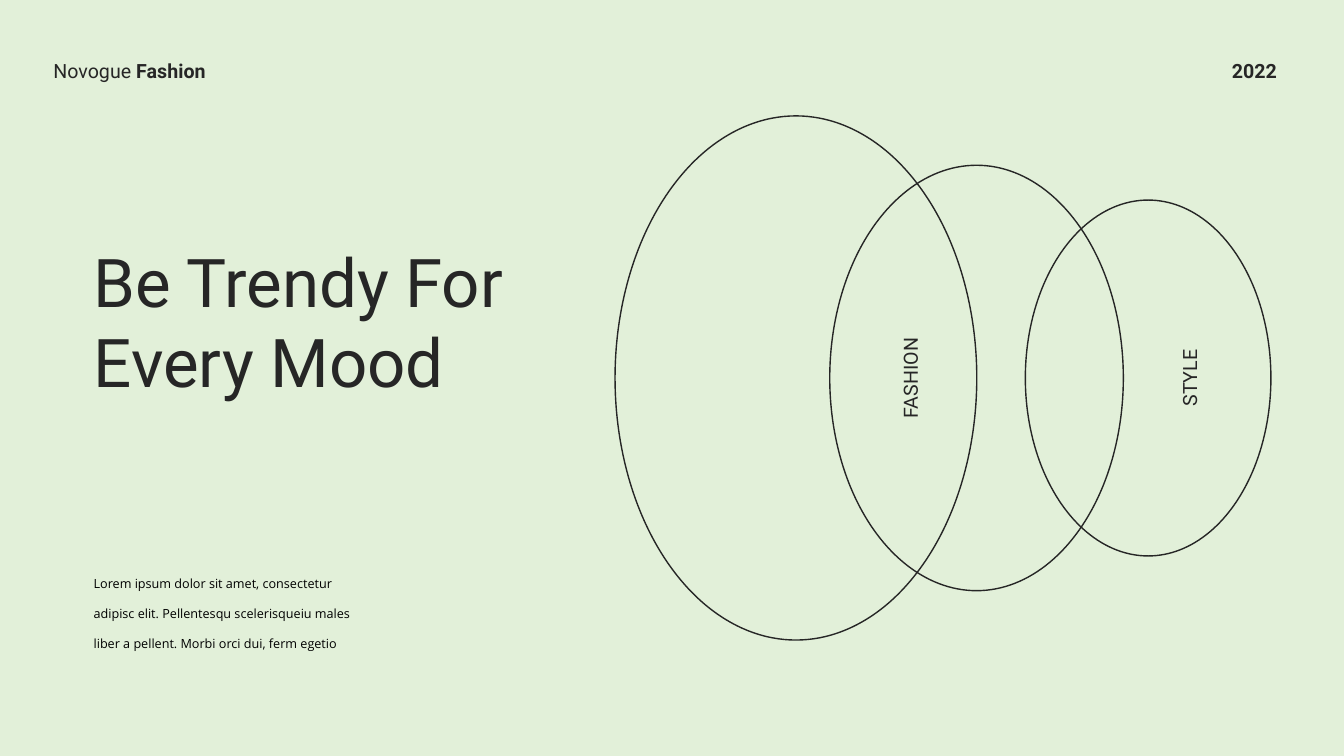
import pptx
import pptx.dml.color
import pptx.enum.shapes
import pptx.enum.text
import pptx.util

INK = pptx.dml.color.RGBColor(0x26, 0x26, 0x26)
BLACK = pptx.dml.color.RGBColor(0, 0, 0)
MINT = pptx.dml.color.RGBColor(0xE2, 0xF0, 0xD9)
WIDTH = pptx.util.Inches(13.33)
HEIGHT = pptx.util.Inches(7.5)
MIDDLE_ROW = 50
MARGIN_COLUMN = 6.23
HEADER_ROW = 7.07
HEADER_ROWS = 4.53
LABEL_COLUMNS = 3.3
ELLIPSE_RATIO = 0.69
ALIGN = pptx.enum.text.PP_ALIGN

HEADING = {"name": "Roboto", "size": pptx.util.Pt(48), "bold": False}
SMALL = {"name": "Roboto", "size": pptx.util.Pt(14), "bold": False}
STRONG = {**SMALL, "bold": True}
BODY = {"name": "Open Sans", "size": pptx.util.Pt(9), "bold": False}


def columns(count):
    return round(WIDTH * count / 100)


def rows(count):
    return round(HEIGHT * count / 100)


def place(shape, left, top, width, height):
    position = {"left": columns(left), "top": rows(top),
                "width": columns(width), "height": rows(height)}
    for name, value in position.items():
        setattr(shape, name, value)


def write(box, pieces, color=INK, align=ALIGN.LEFT, spacing=1.0, wrap=True):
    frame = box.text_frame
    settings = {"word_wrap": wrap,
                "auto_size": pptx.enum.text.MSO_AUTO_SIZE.SHAPE_TO_FIT_TEXT,
                "vertical_anchor": pptx.enum.text.MSO_ANCHOR.TOP}
    for name, value in settings.items():
        setattr(frame, name, value)
    para = frame.paragraphs[0]
    para.alignment = align
    para.line_spacing = spacing
    for text, style in pieces:
        span = para.add_run()
        span.text = text
        span.font.color.rgb = color
        for name, value in style.items():
            setattr(span.font, name, value)


def add_text(page, area, pieces, **options):
    box = page.shapes.add_textbox(0, 0, 0, 0)
    place(box, *area)
    write(box, pieces, **options)
    return box


def add_ellipse(page, left, height):
    ellipse = page.shapes.add_shape(
        pptx.enum.shapes.MSO_SHAPE.OVAL, columns(left),
        rows(MIDDLE_ROW - height / 2),
        round(rows(height) * ELLIPSE_RATIO), rows(height))
    ellipse.shadow.inherit = False
    ellipse.fill.background()
    ellipse.line.color.rgb = INK
    ellipse.line.width = pptx.util.Pt(1)


def add_upright_label(page, left, height, text):
    area = (left, MIDDLE_ROW - height / 2, LABEL_COLUMNS, height)
    box = add_text(page, area, [(text, SMALL)], align=ALIGN.CENTER)
    box.element.txBody.bodyPr.set("vert", "vert270")


def main():
    deck = pptx.Presentation()
    deck.slide_width = WIDTH
    deck.slide_height = HEIGHT
    page = deck.slides.add_slide(deck.slide_layouts[5])
    page.background.fill.solid()
    page.background.fill.fore_color.rgb = MINT

    for left, height in ((45.76, 69.33), (61.74, 56.27), (76.29, 47.07)):
        add_ellipse(page, left, height)

    title = page.shapes.title
    place(title, MARGIN_COLUMN, 31.07, 37.58, 22.93)
    write(title, [("Be Trendy For Every Mood", HEADING)])

    add_text(page, (3.23, HEADER_ROW, 13.73, HEADER_ROWS),
             [("Novogue ", SMALL), ("Fashion", STRONG)], wrap=False)
    add_text(page, (90.92, HEADER_ROW, 5.1, HEADER_ROWS),
             [("2022", STRONG)], wrap=False)
    add_text(page, (MARGIN_COLUMN, 73.47, 20.93, 12.93),
             [("Lorem ipsum dolor sit amet, consectetur adipisc elit. "
               "Pellentesqu scelerisqueiu males liber a pellent. "
               "Morbi orci dui, ferm egetio", BODY)],
             color=BLACK, spacing=2.0)

    add_upright_label(page, 66.47, 17.73, "FASHION")
    add_upright_label(page, 87.25, 11.33, "STYLE")
    deck.save("out.pptx")


if __name__ == "__main__":
    main()
